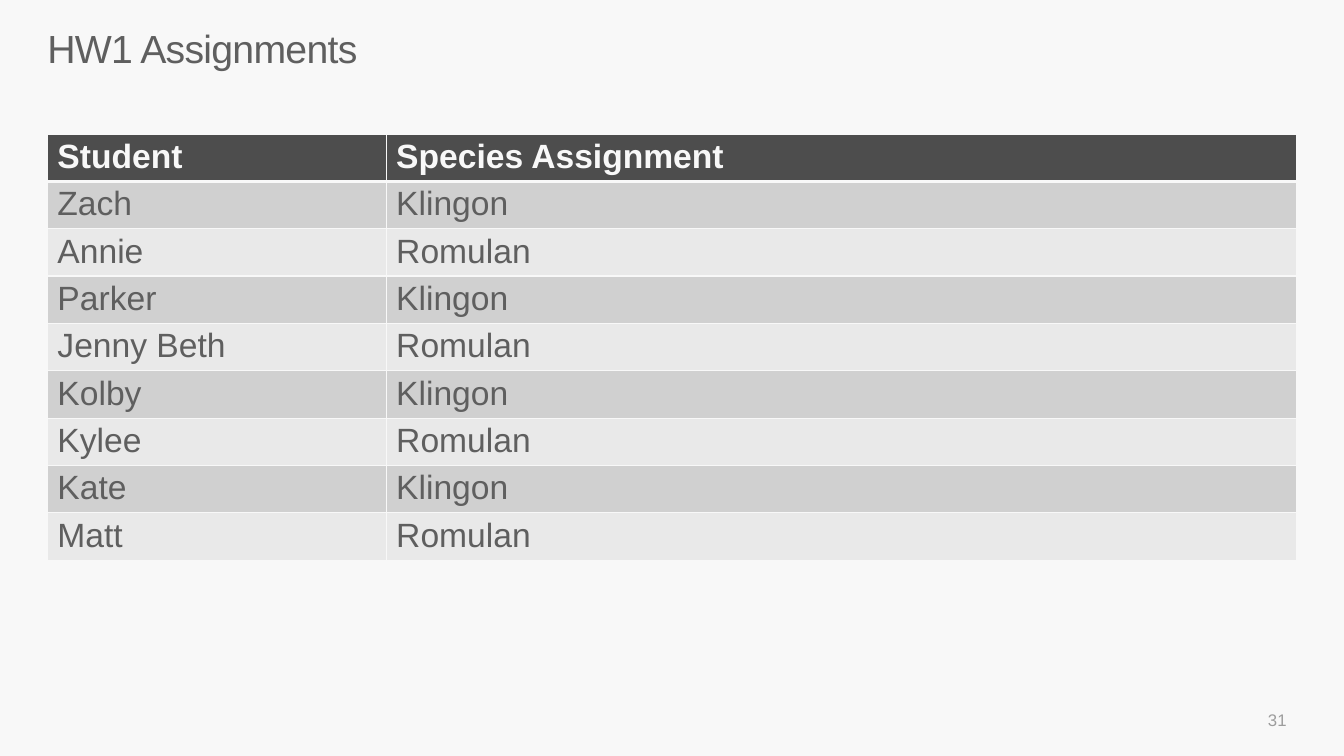
import pptx
import pptx.dml.color
import pptx.enum.text
import pptx.oxml
import pptx.oxml.ns
import pptx.util

Inches = pptx.util.Inches
Pt = pptx.util.Pt
RGBColor = pptx.dml.color.RGBColor
Align = pptx.enum.text.PP_ALIGN
Anchor = pptx.enum.text.MSO_ANCHOR

PAPER = RGBColor(0xF8, 0xF8, 0xF8)
INK = RGBColor(0x5F, 0x5F, 0x5F)
HEADER = RGBColor(0x4D, 0x4D, 0x4D)
BANDS = (RGBColor(0xD0, 0xD0, 0xD0), RGBColor(0xE9, 0xE9, 0xE9))
MUTED = RGBColor(0x9D, 0x9D, 0x9D)

STUDENTS = ["Zach", "Annie", "Parker", "Jenny Beth", "Kolby", "Kylee", "Kate", "Matt"]
SPECIES = ["Klingon", "Romulan"]


class AssignmentSlide:
    font_name = "Arial"

    def __init__(self, deck):
        self.slide = deck.slides.add_slide(deck.slide_layouts[5])
        self.slide.background.fill.solid()
        self.slide.background.fill.fore_color.rgb = PAPER

    def set_text(self, frame, text, size, color, bold=False, align=Align.LEFT):
        frame.text = text
        paragraph = frame.paragraphs[0]
        paragraph.alignment = align
        font = paragraph.runs[0].font
        font.name, font.size, font.bold = self.font_name, Pt(size), bold
        font.color.rgb = color
        return paragraph

    def title(self, text, left, top, width, height):
        heading = self.slide.shapes.title
        heading.left, heading.top = Inches(left), Inches(top)
        heading.width, heading.height = Inches(width), Inches(height)
        frame = heading.text_frame
        frame.margin_left = frame.margin_right = frame.margin_top = frame.margin_bottom = 0
        frame.vertical_anchor = Anchor.TOP
        frame.word_wrap = True
        frame.auto_size = pptx.enum.text.MSO_AUTO_SIZE.NONE
        paragraph = self.set_text(frame, text, 28, INK)
        paragraph.line_spacing = 0.86
        paragraph.runs[0]._r.get_or_add_rPr().set("spc", "-50")

    def border(self, cell, side, points):
        line = pptx.oxml.parse_xml(
            f'<a:ln{side} {pptx.oxml.ns.nsdecls("a")} w="{Pt(points)}">'
            f'<a:solidFill><a:srgbClr val="{PAPER}"/></a:solidFill></a:ln{side}>'
        )
        cell._tc.get_or_add_tcPr().append(line)

    def table(self, rows, left, top, widths, row_height):
        grid = self.slide.shapes.add_table(
            len(rows), len(widths), Inches(left), Inches(top),
            Inches(sum(widths)), Inches(row_height * len(rows)),
        ).table
        for column, width in zip(grid.columns, widths):
            column.width = Inches(width)
        for r, row in enumerate(rows):
            grid.rows[r].height = Inches(row_height)
            for c, text in enumerate(row):
                cell = grid.cell(r, c)
                is_header = r == 0
                cell.margin_top = cell.margin_bottom = Inches(0.04)
                self.set_text(cell.text_frame, text, 24, PAPER if is_header else INK, is_header)
                for side in "LRTB":
                    thick = (r, side) in ((0, "B"), (1, "T"))
                    self.border(cell, side, 3 if thick else 1)
                cell.fill.solid()
                cell.fill.fore_color.rgb = HEADER if is_header else BANDS[(r - 1) % 2]

    def page_number(self, text, left, top, width, height):
        box = self.slide.shapes.add_textbox(
            Inches(left), Inches(top), Inches(width), Inches(height))
        box.text_frame.word_wrap = True
        box.text_frame.vertical_anchor = Anchor.MIDDLE
        self.set_text(box.text_frame, text, 12, MUTED, align=Align.RIGHT)


def main():
    deck = pptx.Presentation()
    deck.slide_width, deck.slide_height = Inches(13.33), Inches(7.5)
    assignments = AssignmentSlide(deck)
    assignments.title("HW1 Assignments", 0.47, 0.31, 12.39, 0.89)
    rows = [("Student", "Species Assignment")]
    rows += [(student, SPECIES[i % 2]) for i, student in enumerate(STUDENTS)]
    assignments.table(rows, 0.47, 1.33, (3.36, 9.03), 0.47)
    assignments.page_number("31", 9.86, 6.94, 3, 0.4)
    deck.save("out.pptx")


if __name__ == "__main__":
    main()
